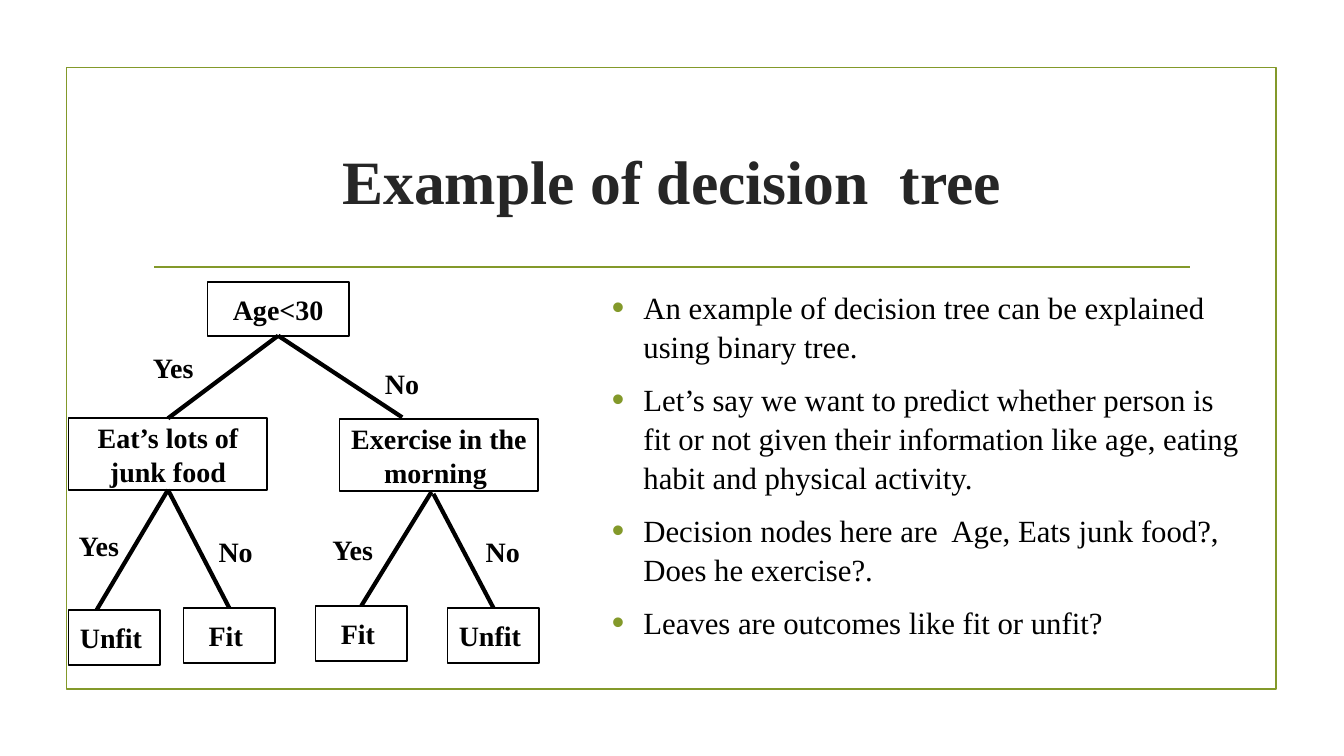
from dataclasses import dataclass
from typing import Optional

from lxml import etree
from pptx import Presentation
from pptx import util as u
from pptx.dml.color import RGBColor
from pptx.enum import shapes, text
from pptx.oxml.ns import qn

FONT = "Times New Roman"
GREEN, BLACK, WHITE, DARK = "83992A", "000000", "FFFFFF", "262626"
BOTTOM, TOP = 2, 0


@dataclass
class Node:
    name: str
    caption: str
    left: float
    top: float
    width: float
    height: float


@dataclass
class Branch:
    """A line between two points, joined to the nodes that are named."""
    start: tuple[float, float]
    end: tuple[float, float]
    parent: Optional[str] = None
    child: Optional[str] = None


@dataclass
class Answer:
    caption: str
    left: float
    top: float


LEAF = (65.5, 39.6)
QUESTION = (142, 51.1)
NODES = [
    Node("age", "Age<30", 148.3, 201.6, 100.8, 38.2),
    Node("food", "Eat’s lots of junk food", 49, 298.8, *QUESTION),
    Node("exercise", "Exercise in the morning ", 242.6, 299.5, *QUESTION),
    Node("food yes", "Unfit ", 49, 435.6, *LEAF),
    Node("food no", "Fit ", 131, 434.2, *LEAF),
    Node("exercise yes", "Fit ", 225.4, 432.7, *LEAF),
    Node("exercise no", "Unfit ", 319.7, 434.2, *LEAF),
]
BRANCHES = [
    Branch((198.7, 239.8), (120, 298.8), "age", "food"),
    Branch((198.7, 239.8), (287.3, 298.1), "age"),
    Branch((120, 349.9), (69.1, 435.6), "food"),
    Branch((120, 349.9), (163.75, 434.2), "food", "food no"),
    Branch((308.2, 351.4), (258.15, 432.7), child="exercise yes"),
    Branch((309.6, 352.8), (352.45, 434.2), child="exercise no"),
]
ANSWERS = [
    Answer("Yes", 102.2, 247), Answer("No", 267.8, 258.5),
    Answer("Yes", 49, 373.7), Answer("No", 149, 378),
    Answer("Yes", 230.4, 376.6), Answer("No", 339.8, 378),
]
POINTS = [
    "An example of decision tree can be explained using binary tree.",
    "Let’s say we want to predict whether person is fit or not given their "
    "information like age, eating habit and physical activity.",
    "Decision nodes here are  Age, Eats junk food?, Does he exercise?.",
    "Leaves are outcomes like fit or unfit?",
]


def color(value: str) -> RGBColor:
    return RGBColor.from_string(value)


def style_runs(paragraph, size: float, ink: str = BLACK, bold: bool = True) -> None:
    for run in paragraph.runs:
        run.font.name = FONT
        run.font.size = u.Pt(size)
        run.font.bold = bold
        run.font.color.rgb = color(ink)


def add_box(slide, left: float, top: float, width: float, height: float,
            border: str, fill: Optional[str] = None):
    shape = slide.shapes.add_shape(shapes.MSO_SHAPE.RECTANGLE, u.Pt(left),
                                   u.Pt(top), u.Pt(width), u.Pt(height))
    shape.shadow.inherit = False
    if fill:
        shape.fill.solid()
        shape.fill.fore_color.rgb = color(fill)
    else:
        shape.fill.background()
    shape.line.color.rgb = color(border)
    shape.line.width = u.Pt(1.25)
    return shape


def add_line(slide, start: tuple[float, float], end: tuple[float, float],
             ink: str, weight: float):
    line = slide.shapes.add_connector(
        shapes.MSO_CONNECTOR.STRAIGHT, *(u.Pt(value) for value in (*start, *end)))
    line.line.color.rgb = color(ink)
    line.line.width = u.Pt(weight)
    etree.SubElement(line._element.spPr, qn("a:effectLst"))
    return line


def add_text_box(slide, left: float, top: float, width: float, height: float,
                 wrap: bool = True):
    box = slide.shapes.add_textbox(u.Pt(left), u.Pt(top), u.Pt(width), u.Pt(height))
    box.text_frame.word_wrap = wrap
    return box.text_frame


def add_node(slide, node: Node):
    shape = add_box(slide, node.left, node.top, node.width, node.height, BLACK, WHITE)
    frame = shape.text_frame
    frame.word_wrap = True
    frame.vertical_anchor = text.MSO_ANCHOR.MIDDLE
    frame.text = node.caption
    frame.paragraphs[0].alignment = text.PP_ALIGN.CENTER
    style_runs(frame.paragraphs[0], 20)
    return shape


def add_bullet(paragraph, indent: float) -> None:
    properties = paragraph._p.get_or_add_pPr()
    properties.set("marL", str(u.Pt(indent)))
    properties.set("indent", str(-u.Pt(indent)))
    bullet_color = etree.SubElement(properties, qn("a:buClr"))
    etree.SubElement(bullet_color, qn("a:srgbClr"), val=GREEN)
    etree.SubElement(properties, qn("a:buSzPct"), val="115000")
    etree.SubElement(properties, qn("a:buFont"), typeface="Arial")
    etree.SubElement(properties, qn("a:buChar"), char="•")


def add_title(slide) -> None:
    frame = add_text_box(slide, 102.2, 77, 756, 103)
    frame.vertical_anchor = text.MSO_ANCHOR.MIDDLE
    frame.text = "Example of decision  tree"
    frame.paragraphs[0].alignment = text.PP_ALIGN.CENTER
    style_runs(frame.paragraphs[0], 44, DARK)


def add_points(slide) -> None:
    frame = add_text_box(slide, 430, 201.6, 464.4, 261.4)
    for index, point in enumerate(POINTS):
        paragraph = frame.add_paragraph() if index else frame.paragraphs[0]
        paragraph.text = point
        add_bullet(paragraph, 22.5)
        paragraph.line_spacing = 1.05
        paragraph.space_before = u.Pt(4.4 if index else 0)
        paragraph.space_after = u.Pt(6)
        style_runs(paragraph, 22, bold=False)


def add_tree(slide) -> None:
    boxes = {node.name: add_node(slide, node) for node in NODES}
    for branch in BRANCHES:
        line = add_line(slide, branch.start, branch.end, BLACK, 3)
        if branch.parent:
            line.begin_connect(boxes[branch.parent], BOTTOM)
        if branch.child:
            line.end_connect(boxes[branch.child], TOP)
    for answer in ANSWERS:
        width = 43.9 if answer.caption == "Yes" else 39.6
        frame = add_text_box(slide, answer.left, answer.top, width, 31.7, wrap=False)
        frame.auto_size = text.MSO_AUTO_SIZE.SHAPE_TO_FIT_TEXT
        frame.text = answer.caption
        style_runs(frame.paragraphs[0], 20)


def main() -> None:
    presentation = Presentation()
    presentation.slide_width, presentation.slide_height = u.Pt(960), u.Pt(540)
    slide = presentation.slides.add_slide(presentation.slide_layouts[6])
    add_box(slide, 47.5, 48.2, 864, 444.2, GREEN)
    add_line(slide, (110.2, 190.8), (850.3, 190.8), GREEN, 1.25)
    add_title(slide)
    add_points(slide)
    add_tree(slide)
    presentation.save("out.pptx")


if __name__ == "__main__":
    main()
